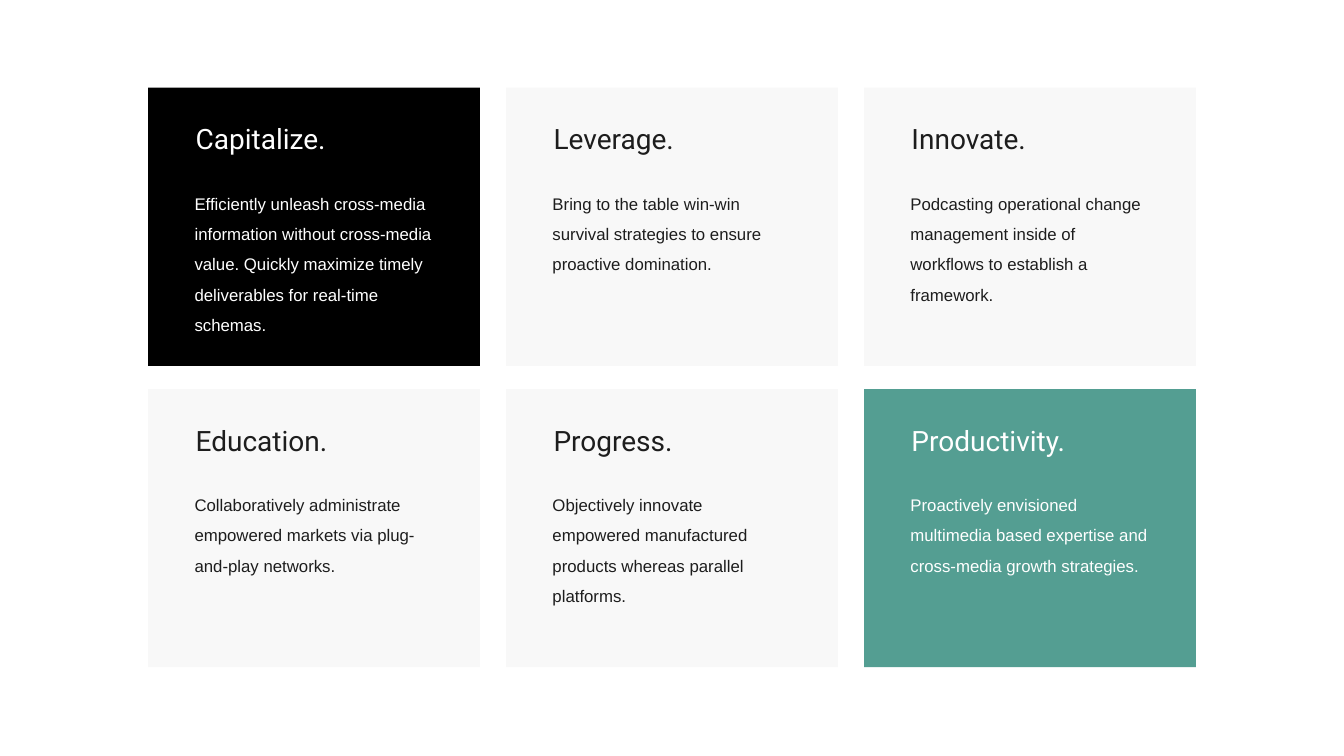
from pptx import Presentation
from pptx.dml.color import RGBColor
from pptx.enum import shapes, text
from pptx.util import Inches, Pt

BLACK, WHITE, INK, PALE, TEAL = "000000", "FFFFFF", "1D1D1D", "F8F8F8", "549E92"

# Heading, body, lines of body space, card fill, text colour
cards = [
    ("Capitalize.", "Efficiently unleash cross-media information without cross-media value. "
     "Quickly maximize timely deliverables for real-time schemas.", 5, BLACK, WHITE),
    ("Leverage.", "Bring to the table win-win survival strategies to ensure "
     "proactive domination.", 3, PALE, INK),
    ("Innovate.", "Podcasting operational change management inside of workflows "
     "to establish a framework.", 4, PALE, INK),
    ("Education.", "Collaboratively administrate empowered markets via "
     "plug-and-play networks.", 3, PALE, INK),
    ("Progress.", "Objectively innovate empowered manufactured products whereas "
     "parallel platforms.", 4, PALE, INK),
    ("Productivity.", "Proactively envisioned multimedia based expertise and "
     "cross-media growth strategies.", 4, TEAL, WHITE),
]

# Grid, in inches
COLUMNS = 3
LEFT, TOP = 1.47, 0.87
COLUMN_STEP, ROW_STEP = 3.55, 2.99
CARD_WIDTH, CARD_HEIGHT = 3.29, 2.76
TEXT_WIDTH, LINE_HEIGHT = 2.36, 0.3


def color(value):
    return RGBColor.from_string(value)


def add_text(left, top, height, words, ink, font_name, size, line_spacing=None):
    box = slide.shapes.add_textbox(Inches(left), Inches(top), Inches(TEXT_WIDTH), Inches(height))
    frame = box.text_frame
    frame_format = {
        "word_wrap": True, "auto_size": text.MSO_AUTO_SIZE.SHAPE_TO_FIT_TEXT,
        "margin_left": 0, "margin_top": 0, "margin_right": 0, "margin_bottom": 0,
    }
    for name, value in frame_format.items():
        setattr(frame, name, value)
    paragraph = frame.paragraphs[0]
    paragraph.line_spacing = line_spacing
    run = paragraph.add_run()
    run.text = words
    for name, value in {"name": font_name, "size": Pt(size)}.items():
        setattr(run.font, name, value)
    run.font.color.rgb = color(ink)


presentation = Presentation()
presentation.slide_width = Inches(13.33)
presentation.slide_height = Inches(7.5)
slide = presentation.slides.add_slide(presentation.slide_layouts[6])

for index, (heading, body, lines, fill, ink) in enumerate(cards):
    row, column = divmod(index, COLUMNS)
    left = LEFT + column * COLUMN_STEP
    top = TOP + row * ROW_STEP

    # Card background
    card = slide.shapes.add_shape(shapes.MSO_SHAPE.RECTANGLE, Inches(left), Inches(top),
                                  Inches(CARD_WIDTH), Inches(CARD_HEIGHT))
    card.shadow.inherit = False
    card.fill.solid()
    card.fill.fore_color.rgb = color(fill)
    card.line.fill.background()

    # Heading and body
    add_text(left + 0.47, top + 0.34, 0.34, heading, ink, "Roboto", 20)
    add_text(left + 0.46, top + 0.95, lines * LINE_HEIGHT, body, ink, "Arial", 12, 1.5)

presentation.save("out.pptx")
